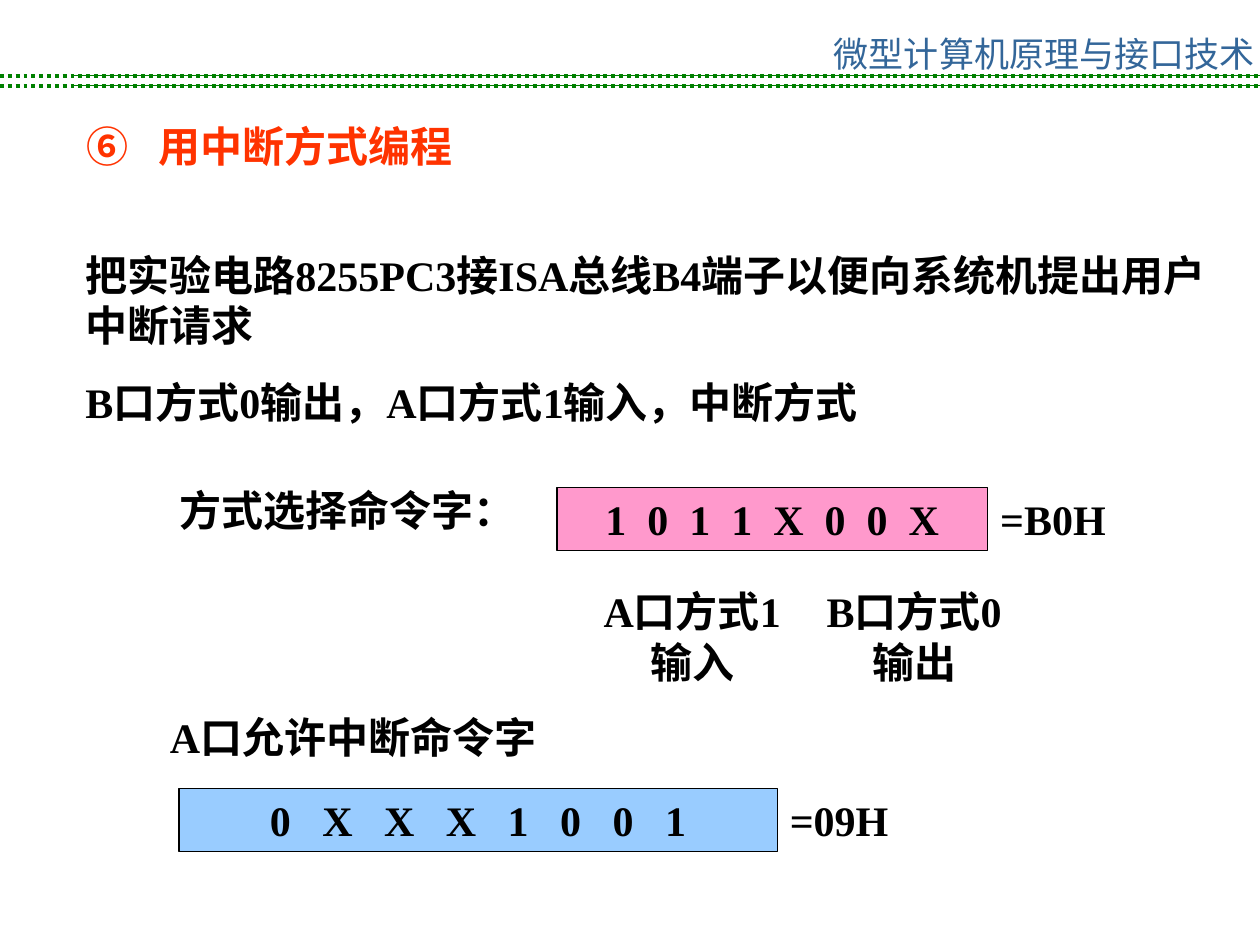
from lxml import etree
from pptx import Presentation
from pptx import util as u
from pptx.dml.color import RGBColor
from pptx.enum import dml, shapes, text
from pptx.oxml.ns import qn

COLORS = {
    "rule": "008000", "course": "336699", "heading": "FF3300",
    "ink": "000000", "mode": "FF99CC", "enable": "99CCFF",
}
LATIN, HAN = "Times New Roman", "Noto Sans CJK SC"
WIDTH, HEIGHT = 10, 7.5
ROW = 0.5  # height of one line of body text
LEFT, CENTER = text.PP_ALIGN.LEFT, text.PP_ALIGN.CENTER


def rgb(name):
    return RGBColor.from_string(COLORS[name])


def write(shape, *lines, size=24, color="ink", bold=True, font=LATIN,
          align=LEFT, gap=0, spacing=0, wrap=True, tab=None):
    """Fill a shape with paragraphs; spacing is extra points per letter."""
    frame = shape.text_frame
    frame.auto_size = text.MSO_AUTO_SIZE.NONE
    frame.word_wrap = wrap
    frame.vertical_anchor = text.MSO_ANCHOR.TOP
    for index, line in enumerate(lines):
        paragraph = frame.paragraphs[0] if index == 0 else frame.add_paragraph()
        paragraph.alignment = align
        if index:
            paragraph.space_before = u.Pt(gap)
        if tab:
            stops = etree.SubElement(paragraph._p.get_or_add_pPr(), qn("a:tabLst"))
            etree.SubElement(stops, qn("a:tab"), pos=str(u.Inches(tab)), algn="l")
        run = paragraph.add_run()
        run.text = line
        run.font.size, run.font.bold, run.font.name = u.Pt(size), bold, font
        run.font.color.rgb = rgb(color)
        props = run._r.get_or_add_rPr()
        etree.SubElement(props, qn("a:ea"), typeface=HAN)
        if spacing:
            props.set("spc", str(spacing * 100))


def add_label(slide, left, top, width, *lines, height=ROW, **style):
    box = slide.shapes.add_textbox(*map(u.Inches, (left, top, width, height)))
    write(box, *lines, **style)


def add_command_word(slide, left, top, width, bits, value, fill, spacing):
    """Draw a control word in a coloured bar, with its hex value beside it."""
    bar = slide.shapes.add_shape(shapes.MSO_SHAPE.RECTANGLE,
                                 *map(u.Inches, (left, top, width, ROW)))
    bar.shadow.inherit = False
    bar.fill.solid()
    bar.fill.fore_color.rgb = rgb(fill)
    bar.line.color.rgb = rgb("ink")
    bar.line.width = u.Pt(0.75)
    write(bar, " ".join(bits), align=CENTER, spacing=spacing)
    add_label(slide, left + width, top, 1.5, value)


def add_rule(slide, left, y, weight, dash=None):
    rule = slide.shapes.add_connector(shapes.MSO_CONNECTOR.STRAIGHT,
                                      *map(u.Inches, (left, y, WIDTH, y)))
    rule.line.color.rgb = rgb("rule")
    rule.line.width = u.Pt(weight)
    if dash:
        rule.line.dash_style = dash
    etree.SubElement(rule._element.spPr, qn("a:effectLst"))


def add_heading(slide, left, top, width, line, **style):
    title = slide.shapes.title
    title.left, title.top, title.width, title.height = map(
        u.Inches, (left, top, width, ROW))
    write(title, line, **style)


def main():
    deck = Presentation()
    deck.slide_width, deck.slide_height = u.Inches(WIDTH), u.Inches(HEIGHT)
    slide = deck.slides.add_slide(deck.slide_layouts[5])

    # Course banner with a dotted double rule
    for y in (0.6, 0.68):
        add_rule(slide, 0.58, y, 0.75)
        add_rule(slide, 0, y, 2.25, dml.MSO_LINE.ROUND_DOT)
    add_label(slide, 6.52, 0.21, 3.53, "微型计算机原理与接口技术", height=0.4,
              size=20, color="course", bold=False, font=HAN, wrap=False)

    # Heading and wiring notes
    add_heading(slide, 0.59, 0.91, 4.1, "⑥\t用中断方式编程",
                color="heading", tab=0.57)
    add_label(slide, 0.58, 1.93, 9.22,
              "把实验电路8255PC3接ISA总线B4端子以便向系统机提出用户中断请求",
              "B口方式0输出，A口方式1输入，中断方式", height=1.51, gap=15)

    # Mode selection word and the meaning of its halves
    add_label(slide, 1.33, 3.8, 3.83, "方式选择命令字：")
    add_command_word(slide, 4.42, 3.87, 3.42, "1011X00X", "=B0H", "mode", 3)
    for left, width, meaning in ((4.58, 1.83, "A口方式1输入"),
                                 (6.42, 1.67, "B口方式0输出")):
        add_label(slide, left, 4.6, width, meaning, height=0.9, align=CENTER)

    # Interrupt enable word
    add_label(slide, 1.25, 5.6, 4.67, "A口允许中断命令字")
    add_command_word(slide, 1.42, 6.26, 4.75, "0XXX1001", "=09H", "enable", 6)

    deck.save("out.pptx")


if __name__ == "__main__":
    main()
